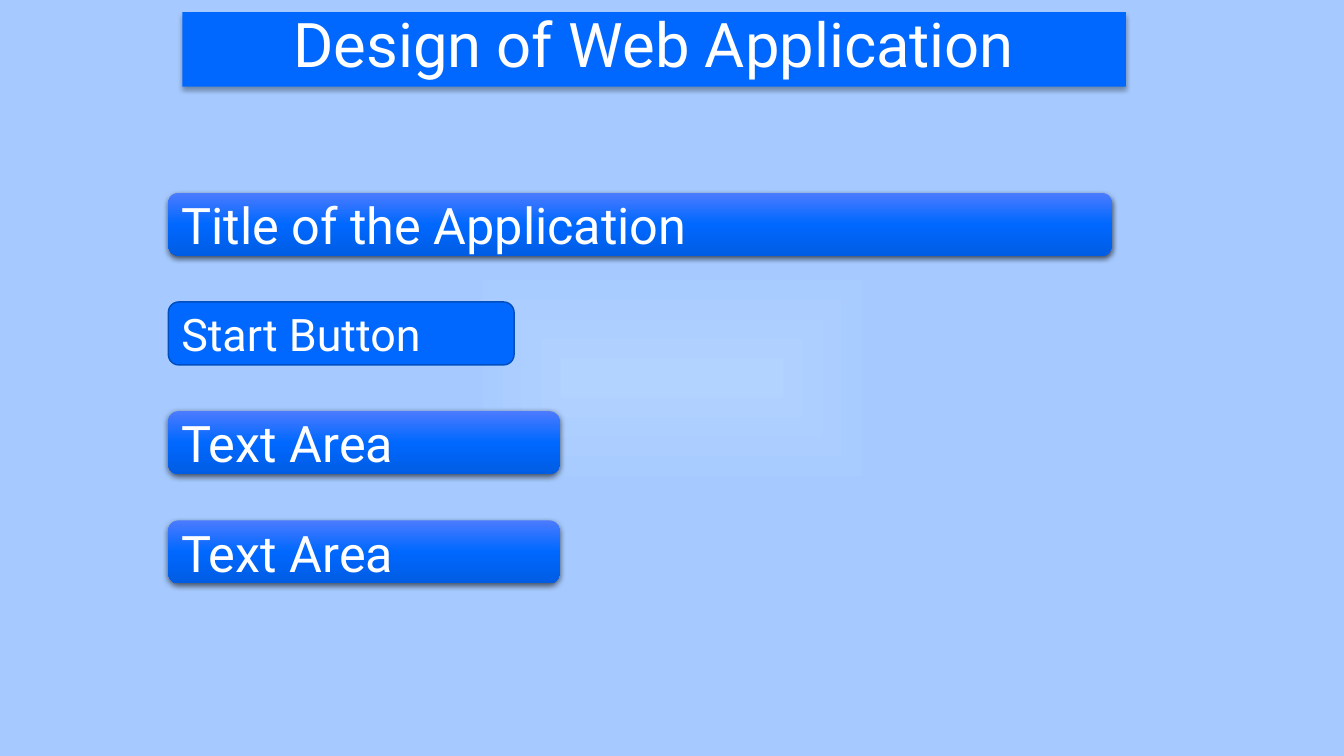
from dataclasses import dataclass
from lxml.etree import SubElement
from pptx import Presentation
from pptx.dml.color import RGBColor
from pptx.enum.shapes import MSO_SHAPE as Preset
from pptx.enum.text import MSO_ANCHOR as Anchor, PP_ALIGN as Align
from pptx.oxml.ns import qn
from pptx.util import Pt

HEADING = "Design of Web Application"
PARTS = [
    ("Title of the Application", 673.92, "raised"),
    ("Start Button", 247, "flat"),
    ("Text Area", 279.4, "raised"),
    ("Text Area", 279.4, "raised"),
]


@dataclass(frozen=True)
class Theme:
    font: str = "Roboto"
    text: str = "FFFFFF"
    blue: str = "0068FF"
    outline: str = "004DBD"
    shadow: str = "000000"
    sheen: tuple = ((0, "4B7BFF"), (50, "0068FF"), (100, "005CE3"))
    backdrop: tuple = ((0, "B2D2FF"), (31, "A6CAFF"), (100, "A6CAFF"))
    heading_size: int = 44
    raised_size: int = 36
    flat_size: int = 32


THEME = Theme()
SLIDE_W, SLIDE_H = 960, 540
HEADING_BOX = (130.32, 8.64, 673.92, 53.28)
PART_LEFT, PART_TOP, PART_H, PART_PITCH = 120.24, 137.7, 45, 78


def add_color(parent, color):
    return SubElement(parent, qn("a:srgbClr"), val=color)


def set_gradient(fill, holder, stops, centred=False):
    fill.gradient()
    gradient = holder.find(qn("a:gradFill"))
    for child in list(gradient):
        gradient.remove(child)
    stop_list = SubElement(gradient, qn("a:gsLst"))
    for position, color in stops:
        add_color(SubElement(stop_list, qn("a:gs"), pos=str(position * 1000)), color)
    if centred:
        shade = SubElement(gradient, qn("a:path"), path="rect")
        sides = {side: "50000" for side in "ltrb"}
        SubElement(shade, qn("a:fillToRect"), sides)
    else:
        SubElement(gradient, qn("a:lin"), ang="5400000", scaled="0")


def add_shadow(shape, opacity, blur, distance):
    effects = shape.element.spPr.find(qn("a:effectLst"))
    outer = SubElement(effects, qn("a:outerShdw"), blurRad=str(Pt(blur)),
                       dist=str(Pt(distance)), dir="5400000", algn="ctr", rotWithShape="0")
    SubElement(add_color(outer, THEME.shadow), qn("a:alpha"), val=str(opacity * 1000))


def add_box(slide, preset, box, label, size, align):
    shape = slide.shapes.add_shape(preset, *map(Pt, box))
    shape.shadow.inherit = False
    shape.fill.solid()
    shape.fill.fore_color.rgb = RGBColor.from_string(THEME.blue)
    shape.line.fill.background()
    frame = shape.text_frame
    frame.word_wrap = True
    frame.vertical_anchor = Anchor.MIDDLE
    paragraph = frame.paragraphs[0]
    paragraph.text = label
    paragraph.alignment = align
    paragraph.font.name = THEME.font
    paragraph.font.size = Pt(size)
    paragraph.font.color.rgb = RGBColor.from_string(THEME.text)
    return shape


def add_heading(slide):
    heading = add_box(slide, Preset.RECTANGLE, HEADING_BOX, HEADING,
                      THEME.heading_size, Align.CENTER)
    heading.text_frame.paragraphs[0].line_spacing = 0.8
    add_shadow(heading, 32, 3.5, 2.2)


def add_part(slide, row, label, width, style):
    box = (PART_LEFT, PART_TOP + row * PART_PITCH, width, PART_H)
    raised = style == "raised"
    size = THEME.raised_size if raised else THEME.flat_size
    part = add_box(slide, Preset.ROUNDED_RECTANGLE, box, label, size, Align.LEFT)
    if raised:
        set_gradient(part.fill, part.element.spPr, THEME.sheen)
        add_shadow(part, 63, 4.5, 1.5)
    else:
        part.line.color.rgb = RGBColor.from_string(THEME.outline)
        part.line.width = Pt(1)


def main():
    deck = Presentation()
    deck.slide_width, deck.slide_height = Pt(SLIDE_W), Pt(SLIDE_H)
    slide = deck.slides.add_slide(deck.slide_layouts[6])
    backdrop = slide.background.fill
    backdrop.solid()
    set_gradient(backdrop, slide.element.find(".//" + qn("p:bgPr")), THEME.backdrop, centred=True)
    add_heading(slide)
    for row, part in enumerate(PARTS):
        add_part(slide, row, *part)
    deck.save("out.pptx")


if __name__ == "__main__":
    main()
